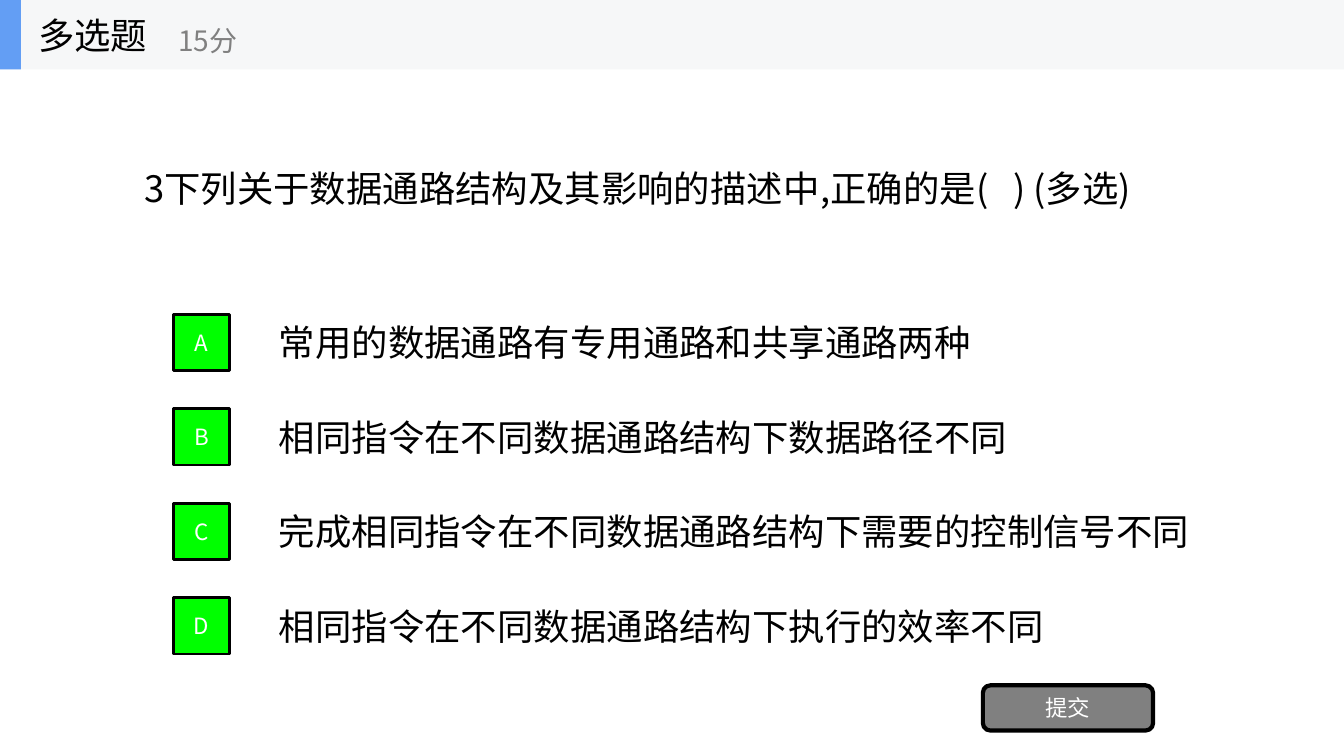
from pptx import Presentation
from pptx.dml.color import RGBColor
from pptx.enum.shapes import MSO_SHAPE
from pptx.enum.text import MSO_ANCHOR, PP_ALIGN
from pptx.oxml.ns import qn
from pptx.util import Cm, Pt
from lxml import etree

FONT = "Noto Sans CJK SC"
BLACK = RGBColor(0x00, 0x00, 0x00)
WHITE = RGBColor(0xFF, 0xFF, 0xFF)
GRAY = RGBColor(0x80, 0x80, 0x80)
GREEN = RGBColor(0x00, 0xFF, 0x00)
PALE = RGBColor(0xF6, 0xF7, 0xF8)
BLUE = RGBColor(0x63, 0x9E, 0xF4)
RECTANGLE = MSO_SHAPE.RECTANGLE
ROUNDED = MSO_SHAPE.ROUNDED_RECTANGLE
MIDDLE = MSO_ANCHOR.MIDDLE
LEFT, CENTER = PP_ALIGN.LEFT, PP_ALIGN.CENTER

deck = Presentation()
deck.slide_width, deck.slide_height = Cm(33.87), Cm(19.05)
page = deck.slides.add_slide(deck.slide_layouts[6])


def write(box, text, size, color, align=LEFT):
    frame = box.text_frame
    frame.word_wrap = True
    frame.vertical_anchor = MIDDLE
    para = frame.paragraphs[0]
    para.text = text
    para.alignment = align
    para.font.size = Pt(size)
    para.font.name = FONT
    para.font.color.rgb = color
    # Chinese characters take the East Asian typeface
    properties = para.font._element
    etree.SubElement(properties, qn("a:ea")).set("typeface", FONT)


def add_block(kind, left, top, width, height, fill, line_width=0):
    block = page.shapes.add_shape(kind, Cm(left), Cm(top), Cm(width), Cm(height))
    block.shadow.inherit = False
    block.fill.solid()
    block.fill.fore_color.rgb = fill
    if line_width:
        block.line.color.rgb = BLACK
        block.line.width = Pt(line_width)
    else:
        block.line.fill.background()
    return block


# Question
question = page.shapes.add_textbox(Cm(3.38), Cm(4.06), Cm(25.86), Cm(1.35))
write(question, "3下列关于数据通路结构及其影响的描述中,正确的是(   ) (多选)", 26, BLACK)

# Answer options; each text box is as wide as its characters need
options = {
    "A": "常用的数据通路有专用通路和共享通路两种",
    "B": "相同指令在不同数据通路结构下数据路径不同",
    "C": "完成相同指令在不同数据通路结构下需要的控制信号不同",
    "D": "相同指令在不同数据通路结构下执行的效率不同",
}
for row, (letter, answer) in enumerate(options.items()):
    top = 7.92 + 2.38 * row
    answer_box = page.shapes.add_textbox(
        Cm(6.78), Cm(top + 0.03), Cm(0.92 * len(answer) + 0.74), Cm(1.35))
    write(answer_box, answer, 26, BLACK)
    letter_box = add_block(RECTANGLE, 4.37, top, 1.42, 1.42, GREEN, 2)
    write(letter_box, letter, 16, WHITE, CENTER)

# Submit button
button = add_block(ROUNDED, 24.77, 17.27, 4.29, 1.14, GRAY, 3)
write(button, "提交", 16, WHITE, CENTER)

# Header bar with question type and score
add_block(RECTANGLE, 0, 0, 33.87, 1.75, PALE)
add_block(RECTANGLE, 0, 0, 0.53, 1.75, BLUE)
type_box = page.shapes.add_textbox(Cm(0.71), Cm(0), Cm(5.28), Cm(1.75))
write(type_box, "多选题", 26, BLACK)
score_box = page.shapes.add_textbox(Cm(4.24), Cm(0.3), Cm(6.35), Cm(1.42))
write(score_box, "15分", 20, GRAY)

deck.save("out.pptx")
